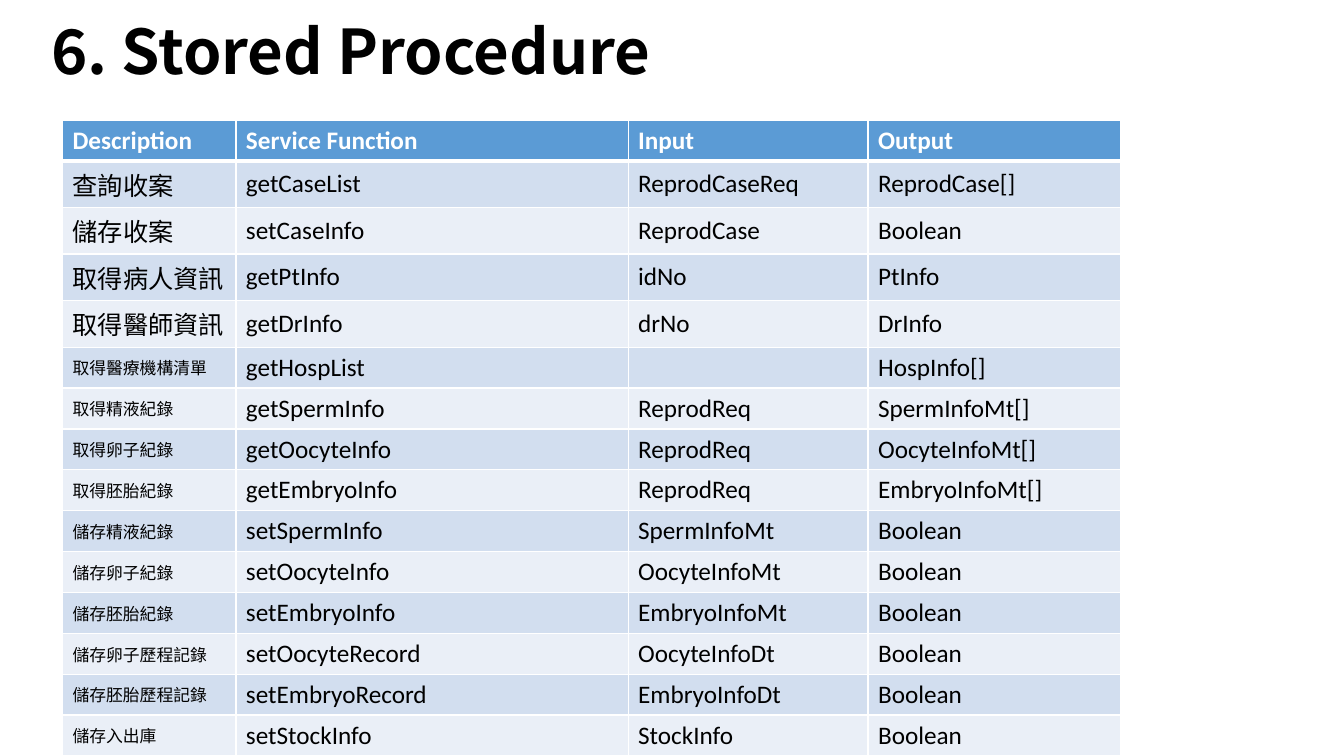
from lxml import etree
from pptx import Presentation
from pptx.dml.color import RGBColor
from pptx.enum.text import MSO_ANCHOR, PP_ALIGN
from pptx.oxml.ns import qn
from pptx.util import Inches, Pt

MIDDLE = MSO_ANCHOR.MIDDLE
LEFT = PP_ALIGN.LEFT
TITLE_ONLY = 5

COLORS = {
    "black": "000000",
    "white": "FFFFFF",
    "header": "5B9BD5",
    "odd": "D2DEEF",
    "even": "EAEFF7",
}
LATIN, CHINESE, PLAIN = "Calibri", "Noto Sans CJK SC", "Arial"

HEADINGS = ("Description", "Service Function", "Input", "Output")
COLUMN_WIDTHS = (1.72, 3.89, 2.38, 2.5)
ROW_HEIGHT = 0.31

# Description font and size, followed by the procedures that use them
GROUPS = [
    (CHINESE, 18, [
        ("查詢收案", "getCaseList", "ReprodCaseReq", "ReprodCase[]"),
        ("儲存收案", "setCaseInfo", "ReprodCase", "Boolean"),
    ]),
    (PLAIN, 18, [
        ("取得病人資訊", "getPtInfo", "idNo", "PtInfo"),
        ("取得醫師資訊", "getDrInfo", "drNo", "DrInfo"),
    ]),
    (PLAIN, 12, [
        ("取得醫療機構清單", "getHospList", "", "HospInfo[]"),
        ("取得精液紀錄", "getSpermInfo", "ReprodReq", "SpermInfoMt[]"),
        ("取得卵子紀錄", "getOocyteInfo", "ReprodReq", "OocyteInfoMt[]"),
        ("取得胚胎紀錄", "getEmbryoInfo", "ReprodReq", "EmbryoInfoMt[]"),
        ("儲存精液紀錄", "setSpermInfo", "SpermInfoMt", "Boolean"),
        ("儲存卵子紀錄", "setOocyteInfo", "OocyteInfoMt", "Boolean"),
        ("儲存胚胎紀錄", "setEmbryoInfo", "EmbryoInfoMt", "Boolean"),
        ("儲存卵子歷程記錄", "setOocyteRecord", "OocyteInfoDt", "Boolean"),
        ("儲存胚胎歷程記錄", "setEmbryoRecord", "EmbryoInfoDt", "Boolean"),
        ("儲存入出庫", "setStockInfo", "StockInfo", "Boolean"),
    ]),
]


def add_span(para, text, size, font, color, bold=False):
    span = para.add_run()
    span.text = text
    span.font.size = Pt(size)
    span.font.name = font
    span.font.bold = bold
    span.font.color.rgb = RGBColor.from_string(COLORS[color])
    east_asian = etree.SubElement(span.font._element, qn("a:ea"))
    east_asian.set("typeface", CHINESE)


def set_borders(cell, top, bottom):
    properties = cell._tc.get_or_add_tcPr()
    sides = (("L", 1), ("R", 1), ("T", top), ("B", bottom))
    for position, (side, width) in enumerate(sides):
        line = etree.Element(qn("a:ln" + side), w=str(Pt(width)))
        fill = etree.SubElement(line, qn("a:solidFill"))
        etree.SubElement(fill, qn("a:srgbClr"), val=COLORS["white"])
        properties.insert(position, line)


def fill_cell(cell, text, fill, size=18, font=LATIN, color="black",
              bold=False, top=1, bottom=1):
    cell.vertical_anchor = MIDDLE
    cell.fill.solid()
    cell.fill.fore_color.rgb = RGBColor.from_string(COLORS[fill])
    set_borders(cell, top, bottom)
    if text:
        add_span(cell.text_frame.paragraphs[0], text, size, font, color, bold)


def add_title(page, text):
    box = page.shapes.title
    box.left, box.top = Inches(0.41), Inches(-0.1)
    box.width, box.height = Inches(9.3), Inches(1.28)
    box.text_frame.vertical_anchor = MIDDLE
    para = box.text_frame.paragraphs[0]
    para.alignment = LEFT
    para.line_spacing = 0.9
    add_span(para, text, 44, CHINESE, "black", bold=True)


def add_procedure_table(page):
    procedures = [(font, size, values)
                  for font, size, rows in GROUPS for values in rows]
    frame = page.shapes.add_table(
        len(procedures) + 1, len(HEADINGS),
        Inches(0.62), Inches(1.19), Inches(10.49), Inches(6))
    table = frame.table
    for column, width in zip(table.columns, COLUMN_WIDTHS):
        column.width = Inches(width)
    for row in table.rows:
        row.height = Inches(ROW_HEIGHT)
    frame.height = Inches(6)

    # Header row
    for cell, heading in zip(table.rows[0].cells, HEADINGS):
        fill_cell(cell, heading, "header", color="white", bold=True, bottom=3)

    # Banded procedure rows
    for number, (font, size, values) in enumerate(procedures, 1):
        band = "odd" if number % 2 else "even"
        top = 3 if number == 1 else 1
        description, *others = table.rows[number].cells
        fill_cell(description, values[0], band, size, font, top=top)
        for cell, value in zip(others, values[1:]):
            fill_cell(cell, value, band, top=top)


def main():
    deck = Presentation()
    deck.slide_width, deck.slide_height = Inches(13.33), Inches(7.5)
    page = deck.slides.add_slide(deck.slide_layouts[TITLE_ONLY])
    add_title(page, "6. Stored Procedure")
    add_procedure_table(page)
    deck.save("out.pptx")


if __name__ == "__main__":
    main()
